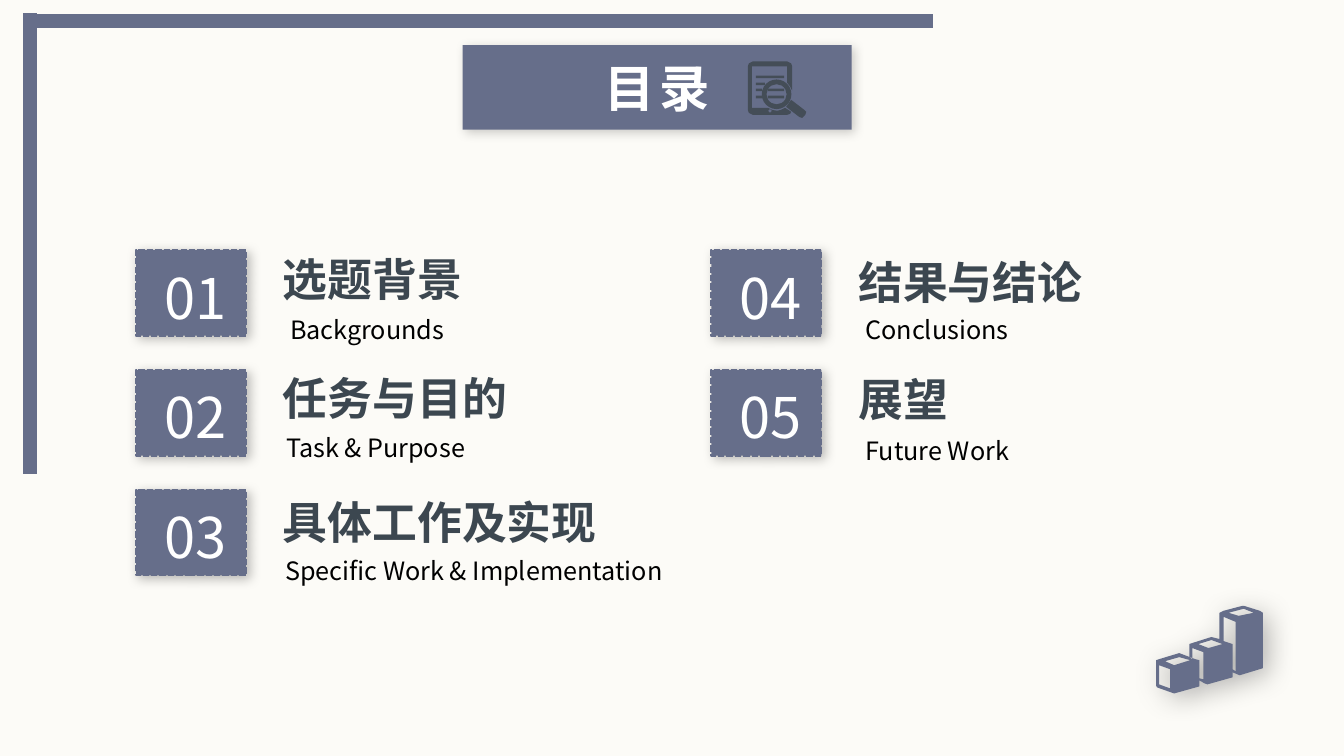
import math

import lxml.etree
import pptx
import pptx.dml.color
import pptx.enum.shapes
import pptx.enum.text
import pptx.oxml
import pptx.oxml.ns
import pptx.util
from pptx.util import Cm, Pt

FONT = "Noto Sans CJK SC"
COLORS = {
    "paper": "FCFBF7",
    "slate": "666E8A",
    "heading": "3C4750",
    "icon": "444D57",
    "white": "FFFFFF",
    "black": "000000",
}
UNIT = Cm(0.0254)  # icon outlines are drawn in hundredths of an inch

COLUMNS = (3.43, 17.93)
FIRST_ROW, ROW_STEP = 6.3, 3.02
ROWS_PER_COLUMN = 3

# heading, its top and width; caption, its offset from the badge, top and width (cm)
ENTRIES = [
    ("选题背景", 6.22, 5.77, "Backgrounds", 3.63, 7.8, 5.61),
    ("任务与目的", 9.22, 6.32, "Task & Purpose", 3.53, 10.77, 5.61),
    ("具体工作及实现", 12.34, 8.76, "Specific Work & Implementation", 3.51, 13.87, 11.0),
    ("结果与结论", 6.3, 6.53, "Conclusions", 3.63, 7.8, 8.71),
    ("展望", 9.25, 7.11, "Future Work", 3.63, 10.85, 8.71),
]

PAGE = [
    [(747, 61), (781, 61), (785, 63), (786, 66), (786, 90), (784, 86), (781, 82),
     (781, 66), (746, 66), (746, 107), (762, 107), (766, 109), (771, 110),
     (775, 109), (779, 107), (785, 111), (784, 113), (781, 114), (747, 114),
     (743, 112), (742, 109), (742, 66), (743, 63)],
    [(762, 110), (764, 112), (766, 110), (764, 108)],
]
PAGE_LINES = [(750, 75, 28), (750, 82, 9), (750, 88, 6), (762, 88, 16),
              (750, 95, 6), (762, 95, 16)]
LENS_CENTER, LENS_RADIUS = (770.5, 93.5), 14.7
HANDLE = [[(785, 99), (798, 109), (799.5, 111), (799, 114), (798, 115),
           (795.5, 116.7), (793, 116), (780, 106)]]
BARS = [
    [(1219, 608), (1229, 611), (1244, 608), (1234, 604)],
    [(1161, 664), (1150, 660), (1150, 679), (1161, 683)],
    [(1189, 639), (1199, 643), (1213, 639), (1202, 635)],
    [(1180, 639), (1183, 638), (1202, 632), (1210, 634), (1210, 608), (1214, 606),
     (1233, 601), (1234, 601), (1250, 606), (1253, 608), (1253, 663), (1230, 670),
     (1223, 667), (1223, 672), (1198, 679), (1195, 678), (1190, 675), (1190, 681),
     (1165, 688), (1148, 682), (1147, 680), (1147, 655), (1150, 654), (1170, 648),
     (1186, 654), (1190, 655), (1190, 673), (1194, 674), (1194, 647), (1183, 643),
     (1183, 654), (1180, 652)],
    [(1214, 636), (1223, 639), (1223, 664), (1226, 666), (1226, 617), (1214, 612)],
    [(1156, 656), (1165, 660), (1181, 655), (1170, 652)],
]


def rgb(name):
    return pptx.dml.color.RGBColor.from_string(COLORS[name])


def add_shadow(shape, alpha, blur, distance):
    """Give the shape a soft black shadow towards the lower right."""
    shape.shadow.inherit = False
    effects = shape._element.spPr.find(pptx.oxml.ns.qn("a:effectLst"))
    effects.append(pptx.oxml.parse_xml(
        f'<a:outerShdw {pptx.oxml.ns.nsdecls("a")} blurRad="{Pt(blur)}" '
        f'dist="{Pt(distance)}" dir="2700000" algn="tl" rotWithShape="0">'
        f'<a:srgbClr val="{COLORS["black"]}"><a:alpha val="{alpha * 1000}"/>'
        '</a:srgbClr></a:outerShdw>'))


def paint(shape, color):
    shape.shadow.inherit = False
    shape.fill.solid()
    shape.fill.fore_color.rgb = rgb(color)
    shape.line.fill.background()


def write(frame, text, size, color, bold=False):
    frame.text = text
    paragraph = frame.paragraphs[0]
    font = paragraph.font
    font.name, font.size, font.bold = FONT, Pt(size), bold
    font.color.rgb = rgb(color)
    east_asian = lxml.etree.SubElement(font._element, pptx.oxml.ns.qn("a:ea"))
    east_asian.set("typeface", FONT)
    return paragraph


def add_label(slide, left, top, width, height, text, size, color, bold=False):
    label = slide.shapes.add_textbox(Cm(left), Cm(top), Cm(width), Cm(height))
    label.text_frame.word_wrap = True
    write(label.text_frame, text, size, color, bold)


def add_bar(slide, *ends):
    bar = slide.shapes.add_connector(
        pptx.enum.shapes.MSO_CONNECTOR.STRAIGHT, *(Cm(end) for end in ends))
    bar.line.color.rgb = rgb("slate")
    bar.line.width = Pt(10)
    lxml.etree.SubElement(bar._element.spPr, pptx.oxml.ns.qn("a:effectLst"))


def add_banner(slide, text):
    banner = slide.shapes.title
    banner.left, banner.top = Cm(11.66), Cm(1.14)
    banner.width, banner.height = Cm(9.8), Cm(2.13)
    paint(banner, "slate")
    add_shadow(banner, 20, 8, 3)
    frame = banner.text_frame
    frame.auto_size = pptx.enum.text.MSO_AUTO_SIZE.NONE
    frame.vertical_anchor = pptx.enum.text.MSO_ANCHOR.MIDDLE
    paragraph = write(frame, text, 36, "white", bold=True)
    paragraph.alignment = pptx.enum.text.PP_ALIGN.CENTER
    paragraph.font._element.set("spc", "300")


def add_badge(slide, left, top, number):
    badge = slide.shapes.add_shape(
        pptx.enum.shapes.MSO_SHAPE.RECTANGLE, Cm(left), Cm(top), Cm(2.77), Cm(2.16))
    paint(badge, "slate")
    badge.line.color.rgb = rgb("slate")
    badge.line.width = Pt(1.5)
    badge.line.dash_style = pptx.enum.dml.MSO_LINE.SQUARE_DOT
    add_shadow(badge, 25, 8, 3)
    frame = badge.text_frame
    frame.word_wrap = False
    frame.vertical_anchor = pptx.enum.text.MSO_ANCHOR.TOP
    frame.margin_left, frame.margin_top = Cm(0.71), Cm(0.33)
    frame.margin_right = frame.margin_bottom = 0
    paragraph = write(frame, f"{number:02}", 40, "white")
    paragraph.alignment = pptx.enum.text.PP_ALIGN.LEFT


def add_outline(slide, contours, color):
    """Fill closed contours as one shape; inner contours become holes."""
    builder = slide.shapes.build_freeform(*contours[0][0], scale=UNIT)
    builder.add_line_segments(contours[0][1:], close=True)
    for contour in contours[1:]:
        builder.move_to(*contour[0])
        builder.add_line_segments(contour[1:], close=True)
    outline = builder.convert_to_shape()
    paint(outline, color)
    return outline


def add_icon_part(slide, kind, left, top, width, height):
    box = (round(length * UNIT) for length in (left, top, width, height))
    part = slide.shapes.add_shape(kind, *box)
    paint(part, "icon")
    return part


def add_search_icon(slide):
    shapes = pptx.enum.shapes.MSO_SHAPE
    add_outline(slide, PAGE, "icon")
    for left, top, width in PAGE_LINES:
        add_icon_part(slide, shapes.RECTANGLE, left, top, width, 2.6)
    corner = [center - LENS_RADIUS for center in LENS_CENTER]
    lens = add_icon_part(slide, shapes.DONUT, *corner, 2 * LENS_RADIUS, 2 * LENS_RADIUS)
    lens.adjustments[0] = 0.16
    add_outline(slide, HANDLE, "icon")


def main():
    deck = pptx.Presentation()
    deck.slide_width, deck.slide_height = Cm(33.87), Cm(19.05)
    slide = deck.slides.add_slide(deck.slide_layouts.get_by_name("Title Only"))
    slide.background.fill.solid()
    slide.background.fill.fore_color.rgb = rgb("paper")

    add_bar(slide, 0.89, 0.53, 23.5, 0.53)
    add_bar(slide, 0.75, 0.33, 0.75, 11.94)
    add_banner(slide, "目录")
    add_search_icon(slide)

    for index, entry in enumerate(ENTRIES):
        heading, heading_top, heading_width, caption, offset, caption_top, caption_width = entry
        column, row = divmod(index, ROWS_PER_COLUMN)
        left = COLUMNS[column]
        add_badge(slide, left, FIRST_ROW + row * ROW_STEP, index + 1)
        add_label(slide, left + 3.45, heading_top, heading_width, 1.63,
                  heading, 32, "heading", bold=True)
        add_label(slide, left + offset, caption_top, caption_width, 1.02,
                  caption, 18, "black")

    bars = add_outline(slide, BARS, "slate")
    add_shadow(bars, 30, 20, 5)
    deck.save("out.pptx")


if __name__ == "__main__":
    main()
